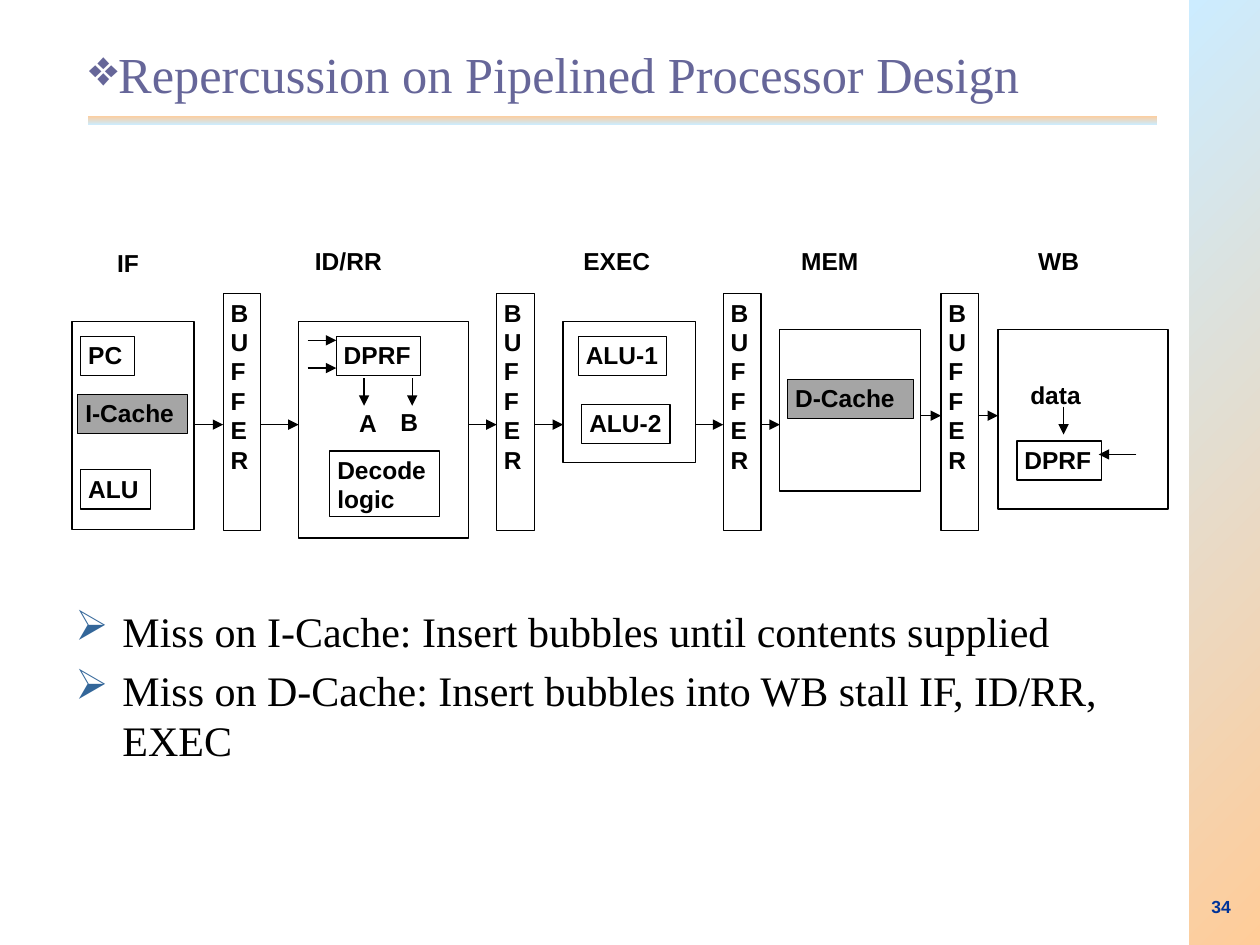
from typing import NamedTuple

from lxml import etree
from pptx import Presentation
from pptx import util as u
from pptx.dml.color import RGBColor
from pptx.enum import shapes, text
from pptx.oxml import ns

Cm, Pt = u.Cm, u.Pt
HUES = {"ink": "000000", "title": "666699", "mark": "336699", "page": "003399",
        "cache": "A5A5A5", "peach": "FFCC99", "sky": "CCECFF"}
HIGH = 0.79
SANS, SERIF = "Arial", "Times New Roman"


class Box(NamedTuple):
    x: float
    y: float
    w: float
    h: float = HIGH
    words: str = ""
    fill: str = ""


class Line(NamedTuple):
    x1: float
    y1: float
    x2: float
    y2: float


def hue(name: str) -> RGBColor:
    return RGBColor.from_string(HUES[name])


def write(shape, words: str, size: float, font: str = SANS, color: str = "ink",
          bold: bool = False, inset: tuple = (0.15, 0.08), bullet: str = "",
          mark: str = "", indent: float = 0, gap: float = 0,
          align=text.PP_ALIGN.LEFT, anchor=text.MSO_ANCHOR.TOP):
    frame = shape.text_frame
    frame.word_wrap = True
    frame.vertical_anchor = anchor
    frame.margin_left = frame.margin_right = Cm(inset[0])
    frame.margin_top = frame.margin_bottom = Cm(inset[1])
    frame.text = words
    for i, para in enumerate(frame.paragraphs):
        para.alignment = align
        if i and gap:
            para.space_before = Pt(gap)
        if bullet:
            props = para._p.get_or_add_pPr()
            props.set("marL", str(Cm(indent)))
            props.set("indent", str(-Cm(indent)))
            if mark:
                tint = etree.SubElement(props, ns.qn("a:buClr"))
                etree.SubElement(tint, ns.qn("a:srgbClr"), val=HUES[mark])
            etree.SubElement(props, ns.qn("a:buChar"), char=bullet)
        para.font.name = font
        para.font.size = Pt(size)
        para.font.bold = bold
        para.font.color.rgb = hue(color)


def area(box: Box) -> tuple:
    return tuple(Cm(v) for v in box[:4])


def label(slide, box: Box, size: float = 14, bold: bool = True, **style):
    write(slide.shapes.add_textbox(*area(box)), box.words, size, bold=bold, **style)


def rect(slide, box: Box):
    shape = slide.shapes.add_shape(shapes.MSO_SHAPE.RECTANGLE, *area(box))
    shape.shadow.inherit = False
    return shape


def block(slide, box: Box):
    shape = rect(slide, box)
    if box.fill:
        shape.fill.solid()
        shape.fill.fore_color.rgb = hue(box.fill)
    else:
        shape.fill.background()
    shape.line.color.rgb = hue("ink")
    shape.line.width = Pt(0.75)
    if box.words:
        write(shape, box.words, 14, bold=True)


def blend(slide, box: Box, start: str, end: str, angle: float):
    shape = rect(slide, box)
    shape.line.fill.background()
    shape.fill.gradient()
    shape.fill.gradient_angle = angle
    for stop, name in zip(shape.fill.gradient_stops, (start, end)):
        stop.color.rgb = hue(name)


def arrow(slide, line: Line):
    wire = slide.shapes.add_connector(
        shapes.MSO_CONNECTOR.STRAIGHT, *(Cm(v) for v in line))
    wire.line.color.rgb = hue("ink")
    wire.line.width = Pt(0.75)
    etree.SubElement(wire.line._get_or_add_ln(), ns.qn("a:tailEnd"), type="triangle")
    etree.SubElement(wire._element.spPr, ns.qn("a:effectLst"))


STAGES = [Box(1.45, 6.48, 2.46, 4.19), Box(6.02, 6.48, 3.43, 4.37),
          Box(11.35, 6.48, 2.67, 2.84), Box(15.72, 6.65, 2.84, 3.25),
          Box(20.12, 6.65, 3.43, 3.61)]
BUFFERS = [Box(x, 5.92, 0.76, 4.78, "\n".join("BUFFER"))
           for x in (4.5, 10.01, 14.58, 18.97)]
PARTS = [Box(1.63, 6.78, 1.09, words="PC"),
         Box(1.57, 7.95, 2.21, words="I-Cache", fill="cache"),
         Box(1.63, 9.47, 1.4, words="ALU"),
         Box(6.78, 6.78, 1.7, words="DPRF"),
         Box(6.65, 9.09, 2.21, 1.32, "Decode\nlogic"),
         Box(11.66, 6.78, 1.78, words="ALU-1"),
         Box(11.73, 8.15, 1.78, words="ALU-2"),
         Box(15.88, 7.65, 2.54, words="D-Cache", fill="cache"),
         Box(20.5, 8.89, 1.7, words="DPRF")]
LABELS = [Box(2.21, 4.93, 0.9, words="IF"), Box(6.2, 4.88, 1.7, words="ID/RR"),
          Box(11.61, 4.88, 1.68, words="EXEC"), Box(16, 4.88, 1.5, words="MEM"),
          Box(20.78, 4.88, 1.2, words="WB"), Box(7.09, 8.15, 0.79, words="A"),
          Box(7.92, 8.13, 0.79, words="B"), Box(20.62, 7.59, 1.37, words="data")]
INNER = [Line(6.2, 6.86, 6.78, 6.86), Line(6.2, 7.42, 6.78, 7.42),
         Line(7.34, 7.62, 7.34, 8.18), Line(8.31, 7.62, 8.31, 8.18),
         Line(21.44, 8.2, 21.44, 8.76), Line(22.91, 9.16, 22.15, 9.16)]
BODY = ("Miss on I-Cache: Insert bubbles until contents supplied\n"
        "Miss on D-Cache: Insert bubbles into WB stall IF, ID/RR, EXEC")


def main():
    deck = Presentation()
    deck.slide_width, deck.slide_height = Cm(25.4), Cm(19.05)
    slide = deck.slides.add_slide(deck.slide_layouts[6])

    blend(slide, Box(1.78, 2.33, 21.54, 0.19), "peach", "sky", 270)
    blend(slide, Box(23.97, 0, 1.43, 19.05), "sky", "peach", 315)
    label(slide, Box(23.57, 18.06, 1.47, 0.43, "34"), 10, color="page",
          inset=(0.23, 0), align=text.PP_ALIGN.RIGHT)
    label(slide, Box(1.55, 0.43, 21.59, 2.11, "Repercussion on Pipelined Processor Design"),
          28.8, False, font=SERIF, color="title", inset=(0.25, 0.13), bullet="❖",
          anchor=text.MSO_ANCHOR.MIDDLE)
    label(slide, Box(1.27, 12.07, 22.86, 4.95, BODY), 24, False, font=SERIF,
          inset=(0.25, 0.13), bullet="➢", mark="mark", indent=0.95, gap=5)

    for box in STAGES + BUFFERS + PARTS:
        block(slide, box)
    for box in LABELS:
        label(slide, box)

    chain = sorted(STAGES + BUFFERS)
    for i, (left, right) in enumerate(zip(chain, chain[1:])):
        y = 8.56 if i < 6 else 8.38
        arrow(slide, Line(left.x + left.w, y, right.x, y))
    for line in INNER:
        arrow(slide, line)
    deck.save("out.pptx")


if __name__ == "__main__":
    main()
